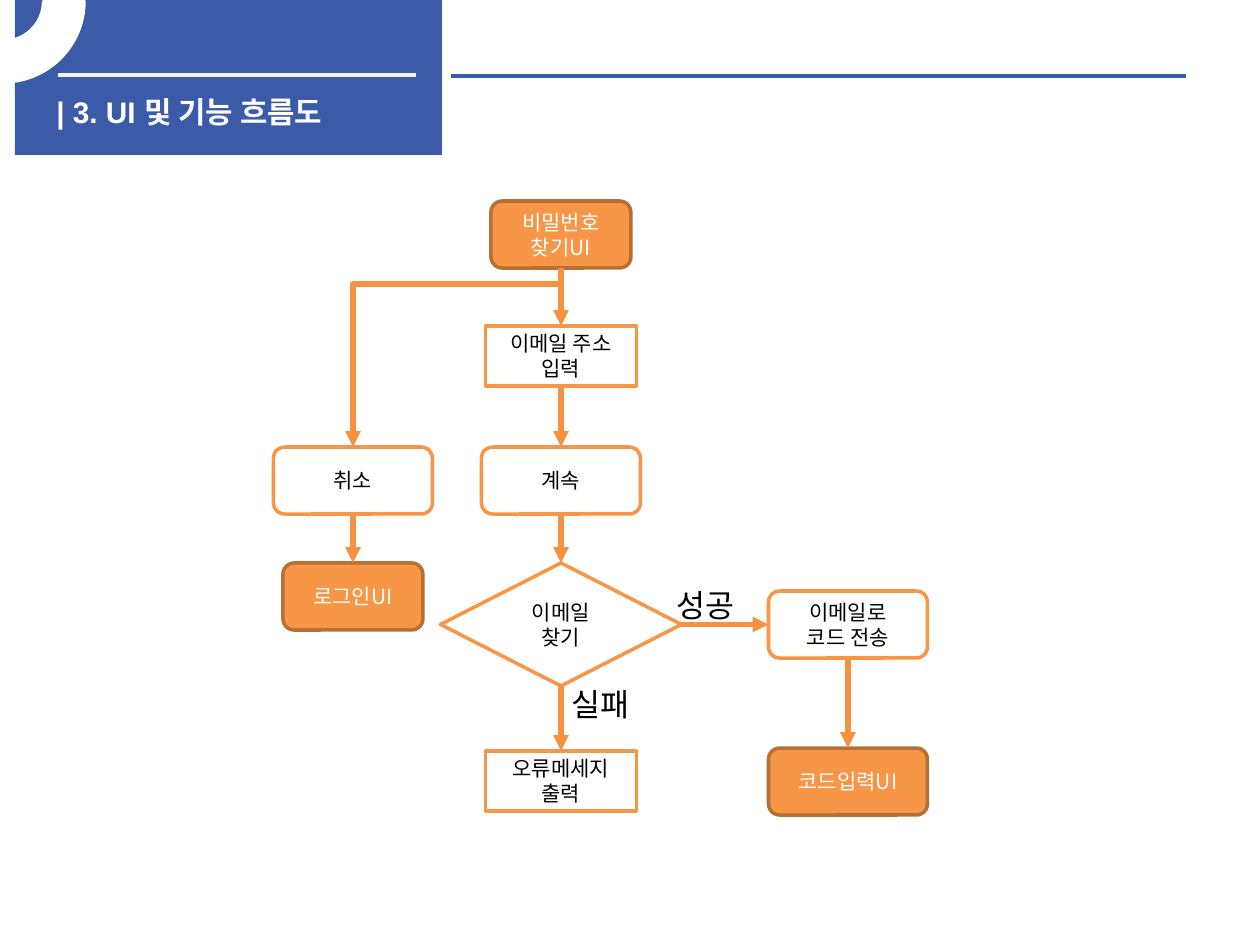
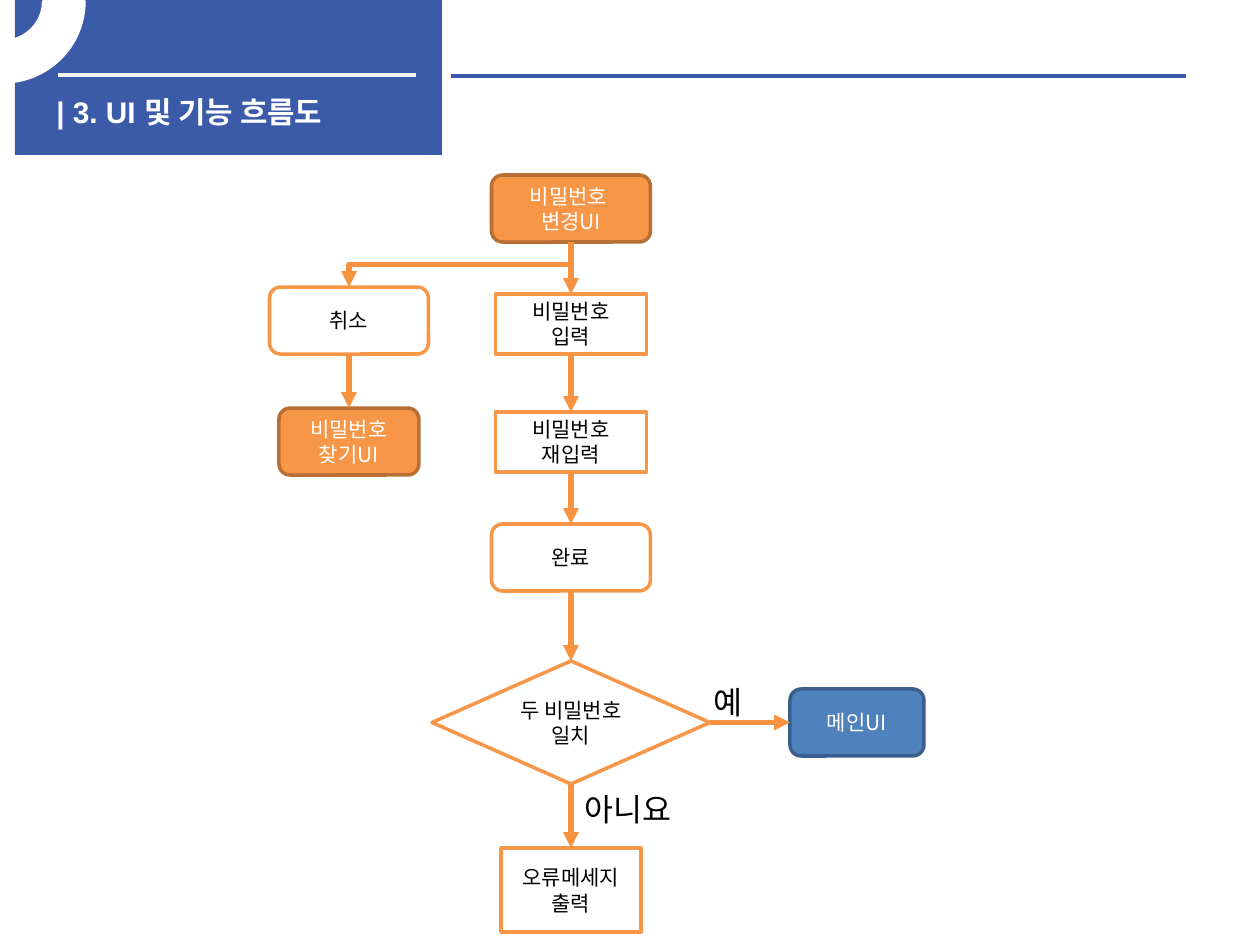
from dataclasses import dataclass

from lxml.etree import SubElement
from pptx import Presentation
from pptx.dml.color import RGBColor
from pptx.enum.shapes import MSO_CONNECTOR, MSO_SHAPE
from pptx.enum.text import MSO_ANCHOR, PP_ALIGN
from pptx.oxml.ns import qn
from pptx.util import Emu, Pt

RECT, ROUND = MSO_SHAPE.RECTANGLE, MSO_SHAPE.ROUNDED_RECTANGLE
DECISION, ARC = MSO_SHAPE.FLOWCHART_DECISION, MSO_SHAPE.BLOCK_ARC
STRAIGHT, ELBOW = MSO_CONNECTOR.STRAIGHT, MSO_CONNECTOR.ELBOW
CENTER, LEFT = PP_ALIGN.CENTER, PP_ALIGN.LEFT
MIDDLE, TOP = MSO_ANCHOR.MIDDLE, MSO_ANCHOR.TOP
SITE_TOP, SITE_LEFT, SITE_BOTTOM, SITE_RIGHT = range(4)


@dataclass(frozen=True)
class Theme:
    band: str = "3B5AA8"
    band_rule: str = "F2F2F2"
    white: str = "FFFFFF"
    black: str = "000000"
    orange: str = "F79646"
    orange_edge: str = "B76F34"
    arrow: str = "F69240"
    blue: str = "4F81BD"
    blue_edge: str = "3A5F8C"
    font: str = "Noto Sans CJK KR"
    title_font: str = "Arial"
    title_size: int = 17
    box_size: int = 12
    label_size: int = 18
    edge_width: float = 2
    rule_width: float = 2.25
    arrow_width: float = 3


THEME = Theme()
TITLE = "| 3. UI 및 기능 흐름도"

# kind: (outline, width, height, fill, edge, text colour)
OPEN = (THEME.white, THEME.orange, THEME.black)
SOLID = (THEME.orange, THEME.orange_edge, THEME.white)
KINDS = {
    "entry": (RECT, 151, 60, *OPEN),
    "error": (RECT, 140, 84, *OPEN),
    "button": (ROUND, 159, 67, *OPEN),
    "screen": (ROUND, 140, 67, *SOLID),
    "wide screen": (ROUND, 159, 67, *SOLID),
    "main screen": (ROUND, 134, 67, THEME.blue, THEME.blue_edge, THEME.white),
    "email check": (DECISION, 241, 123, *OPEN),
    "password check": (DECISION, 278, 123, *OPEN),
}

# boxes: name: (kind, centre x, top, text); a branch leaves downwards and
# turns left after the given share of its drop
FLOWS = [
    {
        "boxes": {
            "start": ("screen", 561, 201, "비밀번호\n찾기UI"),
            "email": ("entry", 561, 326, "이메일 주소\n입력"),
            "cancel": ("button", 353, 447, "취소"),
            "continue": ("button", 561, 447, "계속"),
            "login": ("screen", 353, 563, "로그인UI"),
            "check": ("email check", 561, 563, "이메일\n찾기"),
            "error": ("entry", 561, 751, "오류메세지\n출력"),
            "send": ("button", 848, 591, "이메일로\n코드 전송"),
            "code": ("wide screen", 848, 748, "코드입력UI"),
        },
        "down": [("start", "email"), ("email", "continue"),
                 ("continue", "check"), ("check", "error"),
                 ("cancel", "login"), ("send", "code")],
        "right": ("check", "send"),
        "branch": ("start", "cancel", 0.09),
        "labels": [("성공", 664, 580, 89), ("실패", 559, 679, 89)],
    },
    {
        "boxes": {
            "start": ("wide screen", 571, 175, "비밀번호 \n변경UI"),
            "cancel": ("button", 349, 287, "취소"),
            "password": ("entry", 571, 294, "비밀번호\n입력"),
            "find": ("screen", 349, 408, "비밀번호\n찾기UI"),
            "repeat": ("entry", 571, 412, "비밀번호\n재입력"),
            "done": ("button", 571, 524, "완료"),
            "check": ("password check", 571, 661, "두 비밀번호\n일치"),
            "main": ("main screen", 857, 689, "메인UI"),
            "error": ("error", 571, 848, "오류메세지 출력"),
        },
        "down": [("start", "password"), ("password", "repeat"),
                 ("repeat", "done"), ("done", "check"),
                 ("check", "error"), ("cancel", "find")],
        "right": ("check", "main"),
        "branch": ("start", "cancel", 0.5),
        "labels": [("예", 701, 677, 57), ("아니요", 572, 784, 121)],
    },
]


def px(value):
    return Emu(round(value * 914400 / 126))


def color(code):
    return RGBColor.from_string(code)


def write(shape, text, size, ink, font=THEME.font, bold=False, align=LEFT,
          anchor=TOP, leading=1.2):
    """Fill a shape with one paragraph per line; leading is in type sizes."""
    frame = shape.text_frame
    frame.word_wrap = True
    frame.vertical_anchor = anchor
    for index, line in enumerate(text.split("\n")):
        para = frame.add_paragraph() if index else frame.paragraphs[0]
        para.alignment = align
        para.line_spacing = Pt(size * leading)
        span = para.add_run()
        span.text = line
        span.font.name = font
        span.font.size = Pt(size)
        span.font.bold = bold
        span.font.color.rgb = color(ink)
        SubElement(span.font._element, qn("a:ea"), typeface=THEME.font)


def add_figure(page, outline, left, top, width, height, fill, edge=None):
    shape = page.shapes.add_shape(outline, px(left), px(top), px(width), px(height))
    shape.shadow.inherit = False
    shape.fill.solid()
    shape.fill.fore_color.rgb = color(fill)
    if edge:
        shape.line.color.rgb = color(edge)
        shape.line.width = Pt(THEME.edge_width)
    else:
        shape.line.fill.background()
    return shape


def add_line(page, ink, width, ends=(0, 0, 0, 0), kind=STRAIGHT):
    line = page.shapes.add_connector(kind, *map(px, ends))
    line.line.color.rgb = color(ink)
    line.line.width = Pt(width)
    SubElement(line._element.spPr, qn("a:effectLst"))
    return line


def add_arrow(page, source, source_site, target, target_site, kind=STRAIGHT):
    arrow = add_line(page, THEME.arrow, THEME.arrow_width, kind=kind)
    SubElement(arrow.get_or_add_ln(), qn("a:tailEnd"), type="triangle")
    arrow.begin_connect(source, source_site)
    arrow.end_connect(target, target_site)
    return arrow


def add_branch(page, source, target, turn):
    """Elbow turned a quarter, so that it leaves downwards and ends lower left."""
    arrow = add_arrow(page, source, SITE_BOTTOM, target, SITE_TOP, ELBOW)
    start_x, start_y, end_x, end_y = (arrow.begin_x, arrow.begin_y,
                                      arrow.end_x, arrow.end_y)
    run, drop = start_x - end_x, end_y - start_y
    arrow.left = Emu((start_x + end_x - drop) // 2)
    arrow.top = Emu((start_y + end_y - run) // 2)
    arrow.width, arrow.height = Emu(drop), Emu(run)
    properties = arrow._element.spPr
    frame = properties.find(qn("a:xfrm"))
    for flip in ("flipH", "flipV"):
        frame.attrib.pop(flip, None)
    frame.set("rot", str(90 * 60000))
    guides = properties.find(qn("a:prstGeom")).find(qn("a:avLst"))
    SubElement(guides, qn("a:gd"), name="adj1", fmla=f"val {round(turn * 100000)}")


def add_header(page):
    add_figure(page, RECT, 15, 0, 427, 155, THEME.band)
    add_line(page, THEME.band_rule, THEME.rule_width, (58, 75, 416, 75))
    add_line(page, THEME.band, THEME.rule_width, (451, 76, 1186, 76))
    arc = add_figure(page, ARC, -79, -79, 163, 161, THEME.white, THEME.white)
    for index, value in enumerate((0, 119.05, 0.25)):
        arc.adjustments[index] = value
    title = page.shapes.add_textbox(px(44), px(83), px(514), px(81))
    write(title, TITLE, THEME.title_size, THEME.white, font=THEME.title_font,
          bold=True, leading=1.34)


def add_box(page, kind, center, top, text):
    outline, width, height, fill, edge, ink = KINDS[kind]
    box = add_figure(page, outline, center - width / 2, top, width, height, fill, edge)
    write(box, text, THEME.box_size, ink, align=CENTER, anchor=MIDDLE)
    return box


def add_flow(page, flow):
    boxes = {name: add_box(page, *box) for name, box in flow["boxes"].items()}
    for source, target in flow["down"]:
        add_arrow(page, boxes[source], SITE_BOTTOM, boxes[target], SITE_TOP)
    source, target = flow["right"]
    add_arrow(page, boxes[source], SITE_RIGHT, boxes[target], SITE_LEFT)
    source, target, turn = flow["branch"]
    add_branch(page, boxes[source], boxes[target], turn)
    for text, left, top, width in flow["labels"]:
        label = page.shapes.add_textbox(px(left), px(top), px(width), px(50))
        write(label, text, THEME.label_size, THEME.black)


def main():
    deck = Presentation()
    deck.slide_width, deck.slide_height = px(1260), px(945)
    for flow in FLOWS:
        page = deck.slides.add_slide(deck.slide_layouts[6])
        add_header(page)
        add_flow(page, flow)
    deck.save("out.pptx")


if __name__ == "__main__":
    main()
